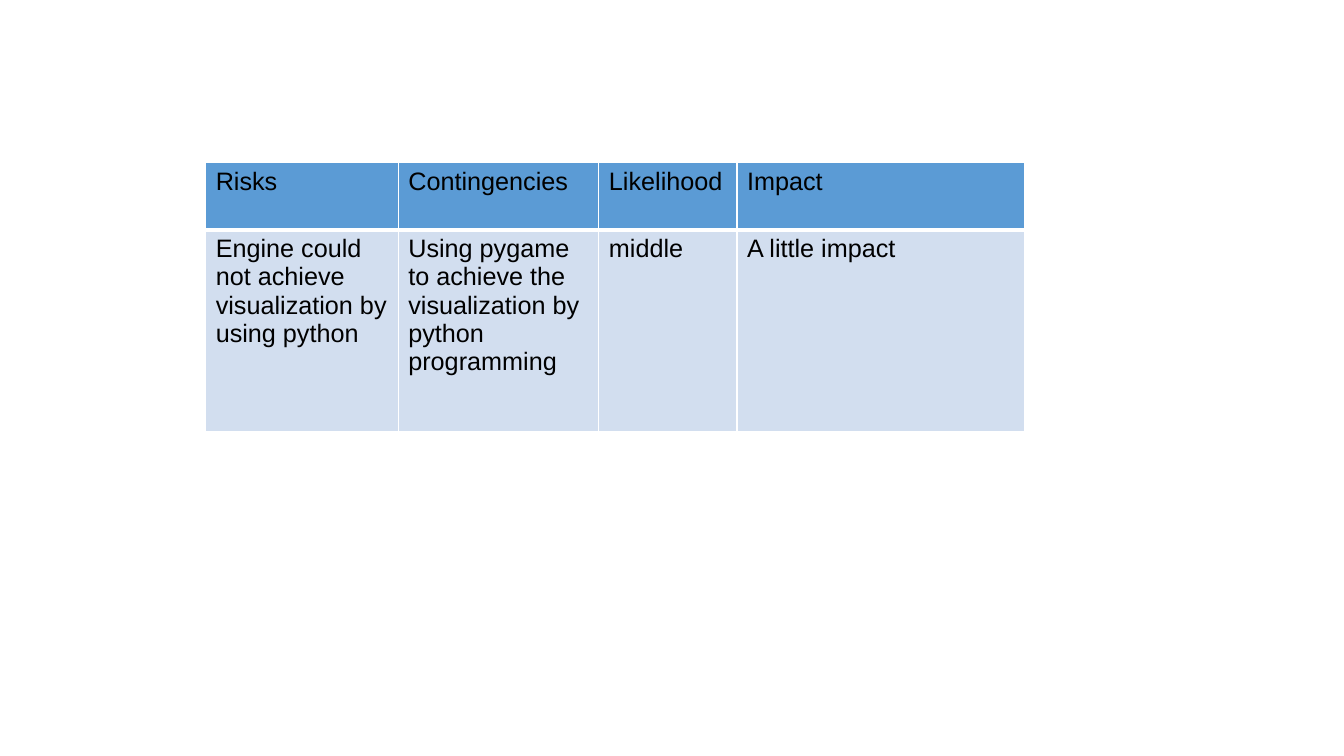
from dataclasses import dataclass

from lxml import etree
from pptx import Presentation
from pptx.dml.color import RGBColor
from pptx.oxml.ns import qn
from pptx.util import Inches, Pt

BLANK_LAYOUT = 6


@dataclass(frozen=True)
class Theme:
    font: str = "Arial"
    text_size: int = 18
    text: str = "000000"
    header_fill: str = "5B9BD5"
    body_fill: str = "D2DEEF"
    border: str = "FFFFFF"
    thin: int = 1
    thick: int = 3


THEME = Theme()
LEFT, TOP = 2.04, 1.61
COLUMN_WIDTHS = [1.91, 1.99, 1.37, 2.85]
ROW_HEIGHTS = [0.67, 2]
RISK_ROWS = [
    ["Risks", "Contingencies", "Likelihood", "Impact"],
    [
        "Engine could not achieve visualization by using python",
        "Using pygame to achieve the visualization by python programming",
        "middle",
        "A little impact",
    ],
]


def set_borders(cell, widths):
    """Draw the cell's edges; widths maps L, R, T, B to points, in that order."""
    properties = cell._tc.get_or_add_tcPr()
    for position, (side, width) in enumerate(widths.items()):
        line = etree.Element(qn(f"a:ln{side}"), w=str(Pt(width)))
        fill = etree.SubElement(line, qn("a:solidFill"))
        etree.SubElement(fill, qn("a:srgbClr"), val=THEME.border)
        properties.insert(position, line)


# Page
deck = Presentation()
deck.slide_width, deck.slide_height = Inches(13.33), Inches(7.5)
page = deck.slides.add_slide(deck.slide_layouts[BLANK_LAYOUT])

# Table grid
risk_table = page.shapes.add_table(
    len(ROW_HEIGHTS), len(COLUMN_WIDTHS), Inches(LEFT), Inches(TOP),
    Inches(sum(COLUMN_WIDTHS)), Inches(sum(ROW_HEIGHTS)),
).table
for column, width in zip(risk_table.columns, COLUMN_WIDTHS):
    column.width = Inches(width)
for row, height in zip(risk_table.rows, ROW_HEIGHTS):
    row.height = Inches(height)

# Cells: a thick line parts the header from the body
for row_index, texts in enumerate(RISK_ROWS):
    is_header = row_index == 0
    fill_color = THEME.header_fill if is_header else THEME.body_fill
    top_line = THEME.thin if is_header else THEME.thick
    bottom_line = THEME.thick if is_header else THEME.thin
    for column_index, text in enumerate(texts):
        cell = risk_table.cell(row_index, column_index)
        cell.text = text
        cell.fill.solid()
        cell.fill.fore_color.rgb = RGBColor.from_string(fill_color)
        set_borders(cell, {"L": THEME.thin, "R": THEME.thin,
                           "T": top_line, "B": bottom_line})
        font = cell.text_frame.paragraphs[0].font
        font.name = THEME.font
        font.size = Pt(THEME.text_size)
        font.bold = False
        font.color.rgb = RGBColor.from_string(THEME.text)

deck.save("out.pptx")
